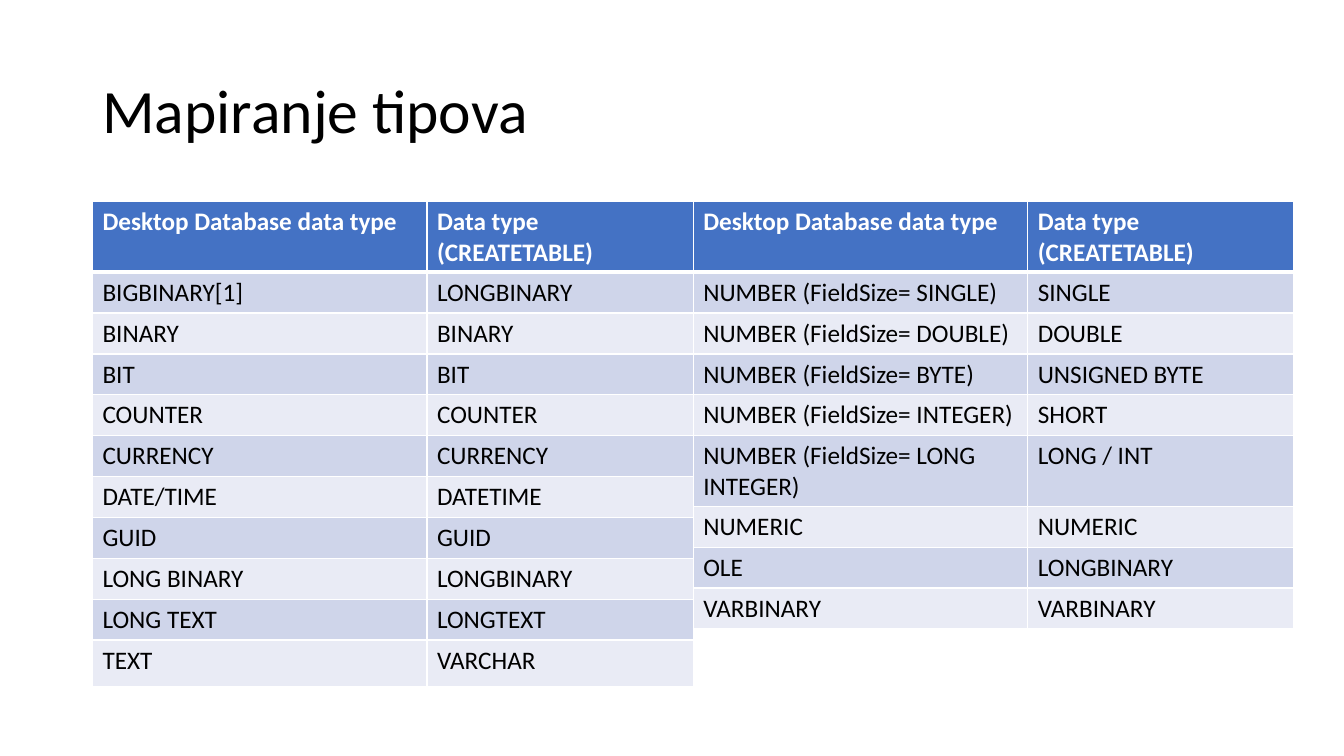
from lxml import etree
from pptx import Presentation
from pptx.dml.color import RGBColor
from pptx.enum import text
from pptx.oxml import ns
from pptx.util import Cm, Pt

FONT = "Calibri"
BLACK = RGBColor(0x00, 0x00, 0x00)
WHITE = RGBColor(0xFF, 0xFF, 0xFF)
BLUE = RGBColor(0x44, 0x72, 0xC4)
BANDS = RGBColor(0xE9, 0xEB, 0xF5), RGBColor(0xCF, 0xD5, 0xEA)

LEFT, TABLE_TOP = 2.33, 5.08
COL_WIDTHS = 8.43, 6.71
HEADER_HEIGHT, ROW_HEIGHT, TALL_ROW = 1.73, 1.03, 1.17

HEADER = ("Desktop Database data type", "Data type (CREATETABLE)")
BASIC_TYPES = [
    ("BIGBINARY[1]", "LONGBINARY"),
    ("BINARY", "BINARY"),
    ("BIT", "BIT"),
    ("COUNTER", "COUNTER"),
    ("CURRENCY", "CURRENCY"),
    ("DATE/TIME", "DATETIME"),
    ("GUID", "GUID"),
    ("LONG BINARY", "LONGBINARY"),
    ("LONG TEXT", "LONGTEXT"),
    ("TEXT", "VARCHAR"),
]
NUMBER_TYPES = [
    ("NUMBER (FieldSize= SINGLE)", "SINGLE"),
    ("NUMBER (FieldSize= DOUBLE)", "DOUBLE"),
    ("NUMBER (FieldSize= BYTE)", "UNSIGNED BYTE"),
    ("NUMBER (FieldSize= INTEGER)", "SHORT"),
    ("NUMBER (FieldSize= LONG INTEGER)", "LONG / INT"),
    ("NUMERIC", "NUMERIC"),
    ("OLE", "LONGBINARY"),
    ("VARBINARY", "VARBINARY"),
]


def add_run(p, words, size, color, bold=False):
    r = p.add_run()
    r.text = words
    r.font.name = FONT
    r.font.size = Pt(size)
    r.font.bold = bold
    r.font.color.rgb = color


def add_title(s, words):
    tf = s.shapes.add_textbox(Cm(LEFT), Cm(1.01), Cm(29.21), Cm(3.68)).text_frame
    tf.word_wrap = True
    tf.vertical_anchor = text.MSO_ANCHOR.MIDDLE
    p = tf.paragraphs[0]
    p.line_spacing = 0.9
    add_run(p, words, 44, BLACK)


def set_borders(cell, top, bottom):
    """Draw white borders, 1 pt at the sides and the given points above and below."""
    tc_pr = cell._tc.get_or_add_tcPr()
    sides = {"lnL": 1, "lnR": 1, "lnT": top, "lnB": bottom}
    for i, (side, width) in enumerate(sides.items()):
        ln = etree.Element(ns.qn(f"a:{side}"), w=str(Pt(width)))
        fill = etree.SubElement(ln, ns.qn("a:solidFill"))
        etree.SubElement(fill, ns.qn("a:srgbClr"), val=str(WHITE))
        tc_pr.insert(i, ln)


def fill_cell(cell, words, row):
    is_header = row == 0
    cell.fill.solid()
    cell.fill.fore_color.rgb = BLUE if is_header else BANDS[row % 2]
    set_borders(cell, top=3 if row == 1 else 1, bottom=3 if is_header else 1)
    add_run(cell.text_frame.paragraphs[0], words, 18,
            WHITE if is_header else BLACK, is_header)


def add_type_table(s, left, types, last_height=ROW_HEIGHT):
    rows = [HEADER] + types
    heights = [HEADER_HEIGHT] + [ROW_HEIGHT] * (len(types) - 1) + [last_height]
    table = s.shapes.add_table(len(rows), len(HEADER), Cm(left), Cm(TABLE_TOP),
                               Cm(sum(COL_WIDTHS)), Cm(sum(heights))).table
    for column, width in zip(table.columns, COL_WIDTHS):
        column.width = Cm(width)
    for i, (values, height) in enumerate(zip(rows, heights)):
        table.rows[i].height = Cm(height)
        for j, words in enumerate(values):
            fill_cell(table.cell(i, j), words, i)


def main():
    prs = Presentation()
    prs.slide_width, prs.slide_height = Cm(33.87), Cm(19.05)
    s = prs.slides.add_slide(prs.slide_layouts[6])
    add_title(s, "Mapiranje tipova")
    add_type_table(s, LEFT, BASIC_TYPES, TALL_ROW)
    add_type_table(s, LEFT + sum(COL_WIDTHS), NUMBER_TYPES)
    prs.save("out.pptx")


if __name__ == "__main__":
    main()
